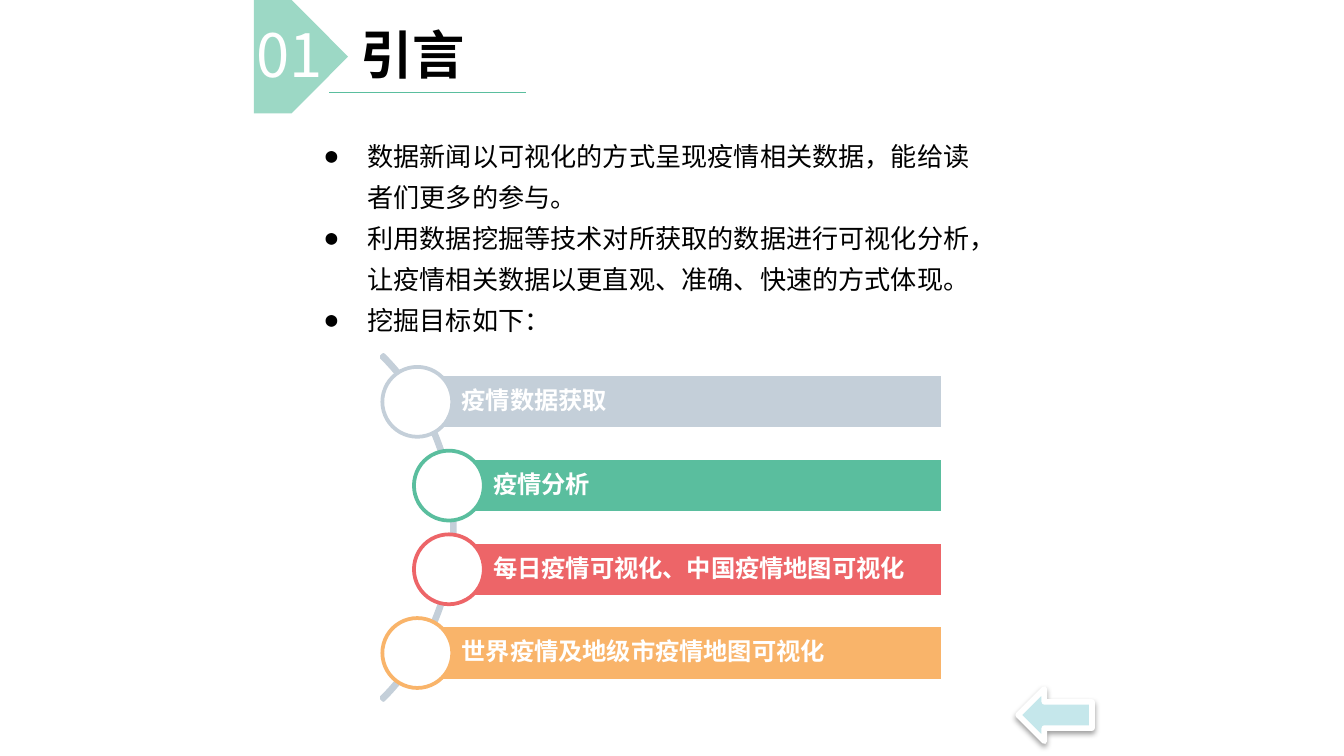
"""Build the introduction slide with its bullet list and four mining goals."""
from dataclasses import dataclass

from lxml import etree
from pptx import Presentation, util as u
from pptx.dml.color import RGBColor
from pptx.enum import shapes, text
from pptx.oxml import ns

WHITE = RGBColor(0xFF, 0xFF, 0xFF)
BLACK = RGBColor(0x00, 0x00, 0x00)
MINT = RGBColor(0x9C, 0xD8, 0xC5)
GREEN = RGBColor(0x5A, 0xBE, 0x9E)
GREY = RGBColor(0xC4, 0xCF, 0xD9)
RED = RGBColor(0xED, 0x65, 0x68)
ORANGE = RGBColor(0xF9, 0xB4, 0x6A)
PALE_BLUE = RGBColor(0xC5, 0xE7, 0xEB)

BODY_FONT = "Noto Sans CJK SC"
LABEL_FONT = "DejaVu Sans Mono"

COLUMNS, ROWS = 100, 56.25
CELL = u.Inches(0.1)
BAR_TOP, BAR_PITCH, BAR_HEIGHT, BAR_RIGHT = 27.85, 6.23, 4.1, 70.15
CIRCLE = 5.2


@dataclass(frozen=True)
class Box:
    """A rectangle in grid columns and rows."""
    column: float
    row: float
    width: float
    height: float

    def lengths(self) -> tuple:
        """Return left, top, width and height as slide lengths."""
        return tuple(grid(n) for n in (self.column, self.row, self.width, self.height))


@dataclass(frozen=True)
class Goal:
    """One mining goal: its label, colour and left column."""
    label: str
    color: RGBColor
    column: float


BULLETS = (
    "数据新闻以可视化的方式呈现疫情相关数据，能给读者们更多的参与。",
    "利用数据挖掘等技术对所获取的数据进行可视化分析，让疫情相关数据以更直观、准确、快速的方式体现。",
    "挖掘目标如下：",
)
GOALS = (
    Goal("疫情数据获取", GREY, 31.05),
    Goal("疫情分析", GREEN, 33.4),
    Goal("每日疫情可视化、中国疫情地图可视化", RED, 33.4),
    Goal("世界疫情及地级市疫情地图可视化", ORANGE, 31.05),
)


def grid(cells: float) -> u.Length:
    """Convert grid cells to a slide length."""
    return u.Emu(round(cells * CELL))


def add_element(parent, tag: str, **attributes: str):
    """Append a drawing element to a parent."""
    return etree.SubElement(parent, ns.qn(tag), attributes)


def format_runs(paragraph, font: str, size: float, color: RGBColor, bold: bool = False) -> None:
    """Give every run of a left-aligned paragraph its font."""
    paragraph.alignment = text.PP_ALIGN.LEFT
    for run in paragraph.runs:
        run.font.name = font
        run.font.size = u.Pt(size)
        run.font.bold = bold
        run.font.color.rgb = color
        add_element(run.font._element, "a:ea", typeface=font)


def add_figure(slide, kind, box: Box, fill=None, line=None, weight: float = 2):
    """Draw a preset shape without a shadow."""
    shape = slide.shapes.add_shape(kind, *box.lengths())
    shape.shadow.inherit = False
    if fill is None:
        shape.fill.background()
    else:
        shape.fill.solid()
        shape.fill.fore_color.rgb = fill
    if line is None:
        shape.line.fill.background()
    else:
        shape.line.color.rgb = line
        shape.line.width = u.Pt(weight)
    return shape


def add_heading(slide) -> None:
    """Draw the section number, title and underline."""
    marker = add_figure(slide, shapes.MSO_SHAPE.PENTAGON, Box(18.9, 0, 7, 8.43), MINT)
    marker.adjustments[0] = 0.6
    number = slide.shapes.add_textbox(*Box(18.1, 0.8, 7.3, 6.4).lengths()).text_frame
    number.word_wrap = False
    number.text = "01"
    format_runs(number.paragraphs[0], BODY_FONT, 32, WHITE)

    title = slide.shapes.title
    title.left, title.top, title.width, title.height = Box(25.83, 1.15, 26.5, 5.7).lengths()
    frame = title.text_frame
    frame.text = "引言"
    frame.vertical_anchor = text.MSO_ANCHOR.TOP
    frame.auto_size = text.MSO_AUTO_SIZE.NONE
    format_runs(frame.paragraphs[0], BODY_FONT, 28, BLACK, True)

    underline = slide.shapes.add_connector(
        shapes.MSO_CONNECTOR.STRAIGHT, grid(24.5), grid(6.9), grid(39.13), grid(6.9))
    underline.line.color.rgb = GREEN
    underline.line.width = u.Pt(0.75)
    add_element(underline._element.spPr, "a:effectLst")


def add_bullets(slide) -> None:
    """Write the bullet list."""
    frame = slide.shapes.add_textbox(*Box(23.25, 9.2, 51.3, 21.1).lengths()).text_frame
    frame.word_wrap = True
    frame.text = "\n".join(BULLETS)
    for paragraph in frame.paragraphs:
        paragraph.line_spacing = u.Pt(22)
        format_runs(paragraph, BODY_FONT, 14, BLACK)
        properties = paragraph._p.get_or_add_pPr()
        properties.set("marL", str(grid(3.1)))
        properties.set("indent", str(grid(-3.1)))
        add_element(properties, "a:buSzPct", val="75000")
        add_element(properties, "a:buFont", typeface=LABEL_FONT)
        add_element(properties, "a:buChar", char="●")


def add_goal(slide, goal: Goal, index: int) -> None:
    """Draw a goal's bar and the circle centred on its left side."""
    top = BAR_TOP + index * BAR_PITCH
    box = Box(goal.column, top, BAR_RIGHT - goal.column, BAR_HEIGHT)
    bar = add_figure(slide, shapes.MSO_SHAPE.RECTANGLE, box, goal.color, WHITE)
    frame = bar.text_frame
    frame.word_wrap = True
    frame.vertical_anchor = text.MSO_ANCHOR.MIDDLE
    frame.margin_left = grid(3.3)
    frame.margin_top = frame.margin_right = frame.margin_bottom = grid(0.4)
    frame.text = goal.label
    frame.paragraphs[0].line_spacing = 0.9
    format_runs(frame.paragraphs[0], LABEL_FONT, 13, WHITE, True)

    circle = Box(goal.column - CIRCLE / 2, top + (BAR_HEIGHT - CIRCLE) / 2, CIRCLE, CIRCLE)
    add_figure(slide, shapes.MSO_SHAPE.OVAL, circle, WHITE, goal.color)


def add_goals(slide) -> None:
    """Draw the arc and the goals along it."""
    arc = add_figure(slide, shapes.MSO_SHAPE.BLOCK_ARC, Box(-2.45, 21.1, 36.3, 36.3), line=GREY)
    for index, value in enumerate((189, 27, 0.006)):
        arc.adjustments[index] = value
    for index, goal in enumerate(GOALS):
        add_goal(slide, goal, index)


def add_back_arrow(slide) -> None:
    """Draw the back arrow with its soft shadow."""
    arrow = add_figure(slide, shapes.MSO_SHAPE.LEFT_ARROW, Box(75.75, 51.25, 5.5, 3.9),
                       PALE_BLUE, WHITE, 3)
    effects = arrow._element.spPr.find(ns.qn("a:effectLst"))
    shadow = add_element(effects, "a:outerShdw", blurRad=str(u.Pt(3.1)), dist=str(u.Pt(1.6)),
                         dir="5400000", rotWithShape="0")
    color = add_element(shadow, "a:srgbClr", val=str(BLACK))
    add_element(color, "a:alpha", val="38000")


def main() -> None:
    """Build and save the presentation."""
    presentation = Presentation()
    presentation.slide_width, presentation.slide_height = grid(COLUMNS), grid(ROWS)
    slide = presentation.slides.add_slide(presentation.slide_layouts.get_by_name("Title Only"))
    add_bullets(slide)
    add_heading(slide)
    add_goals(slide)
    add_back_arrow(slide)
    presentation.save("out.pptx")


if __name__ == "__main__":
    main()
